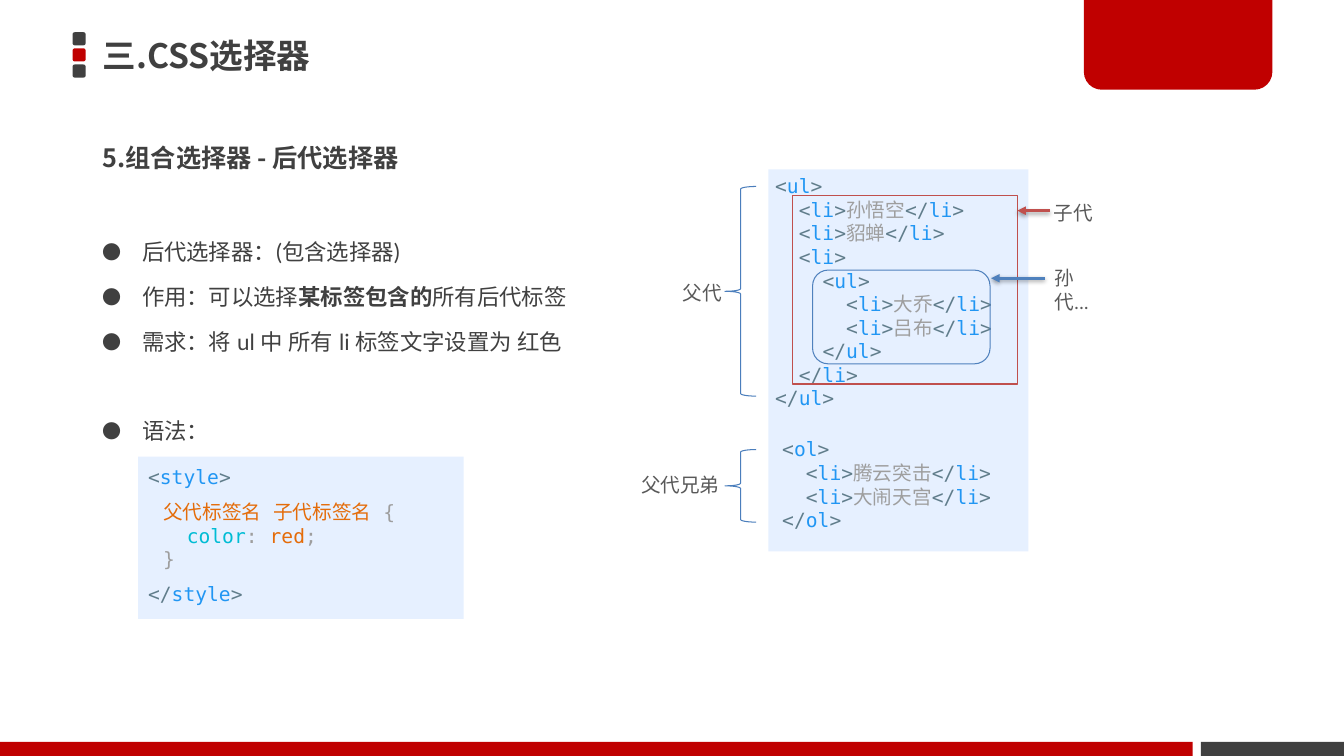
from itertools import groupby
from lxml import etree
from pptx import Presentation
from pptx.dml.color import RGBColor
from pptx.enum.shapes import MSO_CONNECTOR, MSO_SHAPE
from pptx.enum.text import MSO_ANCHOR
from pptx.oxml.ns import qn
from pptx.util import Inches, Pt

RECT = MSO_SHAPE.RECTANGLE
ROUND = MSO_SHAPE.ROUNDED_RECTANGLE
TAB = MSO_SHAPE.ROUND_2_SAME_RECTANGLE
BRACE = MSO_SHAPE.LEFT_BRACE
LINE = MSO_CONNECTOR.STRAIGHT
TOP = MSO_ANCHOR.TOP
MIDDLE = MSO_ANCHOR.MIDDLE

HUES = {
    "dark": "404040", "red": "C00000", "gray": "595959", "panel": "E6F0FF",
    "mark": "607D8B", "name": "2196F3", "plain": "9E9E9E", "key": "00BCD4",
    "warm": "E46C0A", "child": "C0504D", "grand": "4F81BD", "brace": "4B7EBC",
    "black": "000000",
}
SANS = "Noto Sans CJK JP"
MONO = "DejaVu Sans Mono"

FAMILY = """<ul>
  <li>孙悟空</li>
  <li>貂蝉</li>
  <li>
    <ul>
      <li>大乔</li>
      <li>吕布</li>
    </ul>
  </li>
</ul>"""
SIBLING = """<ol>
  <li>腾云突击</li>
  <li>大闹天宫</li>
</ol>"""


def rgb(name):
    return RGBColor.from_string(HUES[name])


def node(parent, tag, **attrs):
    return etree.SubElement(parent, qn(tag), {k: str(v) for k, v in attrs.items()})


def shape(slide, kind, box, fill=None, line=None, adj=()):
    item = slide.shapes.add_shape(kind, *map(Inches, box))
    item.shadow.inherit = False
    for i, value in enumerate(adj):
        item.adjustments[i] = value
    if fill:
        item.fill.solid()
        item.fill.fore_color.rgb = rgb(fill)
    else:
        item.fill.background()
    if line:
        item.line.color.rgb = rgb(line)
        item.line.width = Pt(0.75)
    else:
        item.line.fill.background()


def bullet(para):
    props = para._p.get_or_add_pPr()
    props.set("marL", str(Inches(0.39)))
    props.set("indent", str(-Inches(0.39)))
    node(node(props, "a:buClr"), "a:srgbClr", val=HUES["dark"])
    node(props, "a:buSzPct", val=85000)
    node(props, "a:buFont", typeface=SANS)
    node(props, "a:buChar", char="●")


def write(slide, text, box, font="Calibri", size=14, hue="gray", bold=False,
          anchor=TOP, pitch=None, gaps=None, dots=False):
    frame = slide.shapes.add_textbox(*map(Inches, box)).text_frame
    frame.word_wrap = True
    frame.vertical_anchor = anchor
    for i, line in enumerate([text] if isinstance(text, str) else text):
        para = frame.paragraphs[0] if i == 0 else frame.add_paragraph()
        if dots:
            bullet(para)
        if pitch:
            para.line_spacing = pitch
        if gaps and i in gaps:
            para.space_before = Pt(gaps[i])
        for words, tint, heavy in [(line, hue, bold)] if isinstance(line, str) else line:
            run = para.add_run()
            run.text = words
            run.font.name = font
            run.font.size = Pt(size)
            run.font.bold = heavy
            run.font.color.rgb = rgb(tint)
            node(run._r.get_or_add_rPr(), "a:ea", typeface=font)


def tint(char):
    if char in "</>":
        return "mark"
    return "name" if char.isascii() and char.isalpha() else "plain"


def markup(source):
    return [[("".join(part), hue, False) for hue, part in groupby(row, tint)]
            for row in source.splitlines()]


def code(slide, rows, box, gaps=None):
    write(slide, rows, box, font=MONO, pitch=Pt(16.8), gaps=gaps)


def arrow(slide, start, end, y, hue):
    link = slide.shapes.add_connector(LINE, Inches(start), Inches(y), Inches(end), Inches(y))
    link.line.color.rgb = rgb(hue)
    link.line.width = Pt(2)
    node(link.line._get_or_add_ln(), "a:tailEnd", type="triangle")
    glow = node(node(link._element.spPr, "a:effectLst"), "a:outerShdw",
                blurRad=Pt(3.1), dist=Pt(1.6), dir=5400000, rotWithShape=0)
    node(node(glow, "a:srgbClr", val=HUES["black"]), "a:alpha", val=38000)


def frame(slide):
    for i, hue in enumerate(("dark", "red", "dark")):
        shape(slide, ROUND, (0.72, 0.32 + 0.16 * i, 0.13, 0.13), hue, adj=[0.167])
    shape(slide, RECT, (11.91, 7.36, 1.42, 0.14), "dark")
    shape(slide, TAB, (10.75, 0, 1.87, 0.89), "red", adj=[0, 0.2])
    shape(slide, RECT, (0, 7.36, 11.83, 0.14), "red")
    write(slide, "三.CSS选择器", (0.92, 0.26, 9.59, 0.57), font=SANS, size=24,
          hue="dark", bold=True, anchor=MIDDLE)


def notes(slide):
    write(slide, "5.组合选择器 - 后代选择器", (0.92, 1.28, 4, 0.57), font=SANS,
          size=18, hue="dark", bold=True, anchor=MIDDLE)
    points = [
        "后代选择器：(包含选择器)",
        [("作用：可以选择", "dark", False), ("某标签包含的", "dark", True),
         ("所有后代标签", "dark", False)],
        "需求：将 ul 中 所有 li 标签文字设置为 红色",
        "语法：",
    ]
    write(slide, points, (0.92, 2.18, 5.42, 2.28), font="Lato", size=16, hue="dark",
          pitch=1.5, gaps={1: 3.2, 2: 3.2, 3: 35.2}, dots=True)


def syntax(slide):
    shape(slide, RECT, (1.37, 4.53, 3.23, 1.61), "panel")
    code(slide, markup("<style>\n</style>"), (1.37, 4.56, 2.88, 1.51), {1: 67.2})
    rule = [
        [("父代标签名 子代标签名 ", "warm", False), ("{", "plain", False)],
        [("  color", "key", False), (": ", "plain", False),
         ("red", "warm", False), (";", "plain", False)],
        [("}", "plain", False)],
    ]
    code(slide, rule, (1.52, 4.91, 2.7, 0.81))


def tree(slide):
    shape(slide, RECT, (7.62, 1.68, 2.58, 3.79), "panel")
    code(slide, markup(FAMILY), (7.59, 1.68, 2.5, 2.48))
    code(slide, markup(SIBLING), (7.66, 4.29, 2.98, 1.04))
    shape(slide, RECT, (7.86, 1.94, 2.23, 1.87), line="child")
    shape(slide, ROUND, (8.06, 2.68, 1.76, 0.93), line="grand")
    for top, height in ((1.85, 2.08), (4.46, 0.72)):
        shape(slide, BRACE, (7.19, top, 0.31, height), line="brace")
    for text, box in (
        ("父代", (6.67, 2.74, 0.8, 0.34)),
        ("父代兄弟", (6.26, 4.64, 1.19, 0.34)),
        ("子代", (10.35, 1.94, 0.8, 0.34)),
        ("孙代...", (10.36, 2.59, 0.65, 0.57)),
    ):
        write(slide, text, box)
    arrow(slide, 10.41, 10.09, 2.09, "child")
    arrow(slide, 10.36, 9.83, 2.76, "grand")


def main():
    deck = Presentation()
    deck.slide_width = Inches(13.33)
    deck.slide_height = Inches(7.5)
    slide = deck.slides.add_slide(deck.slide_layouts[6])
    frame(slide)
    notes(slide)
    syntax(slide)
    tree(slide)
    deck.save("out.pptx")


if __name__ == "__main__":
    main()
